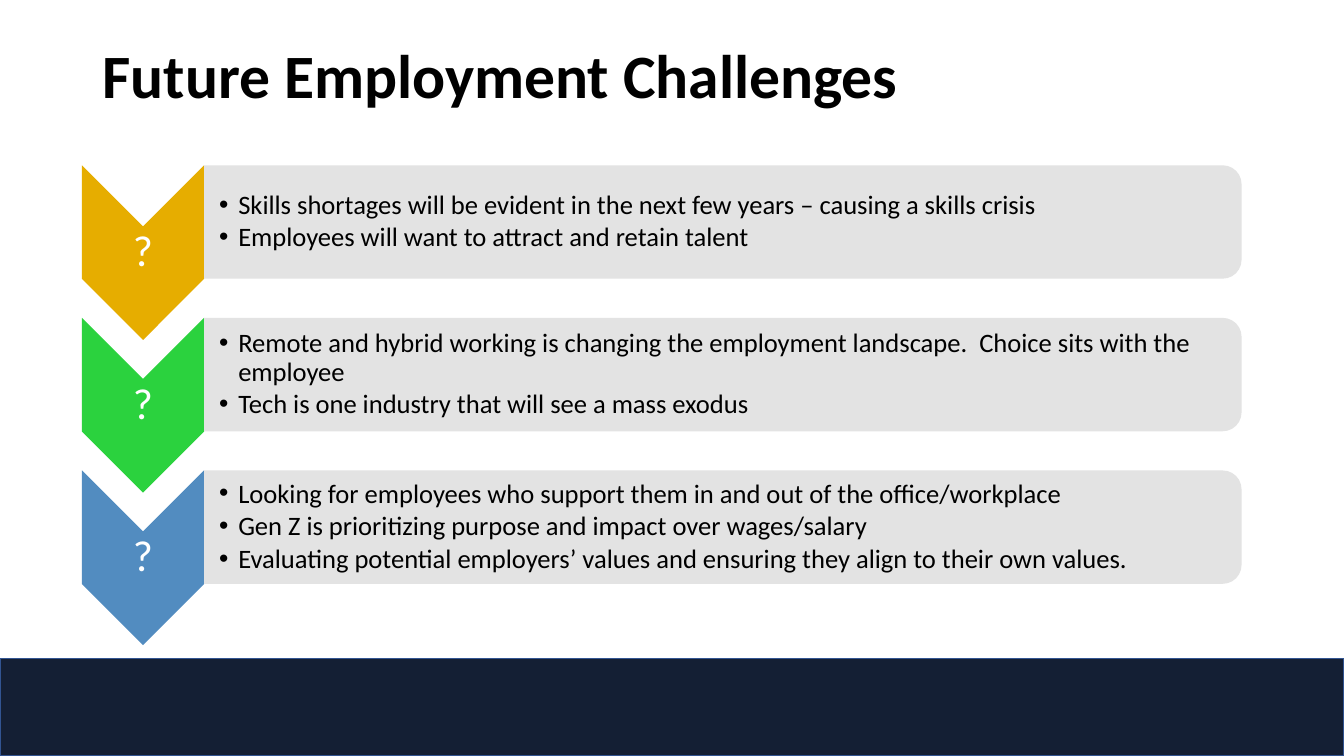
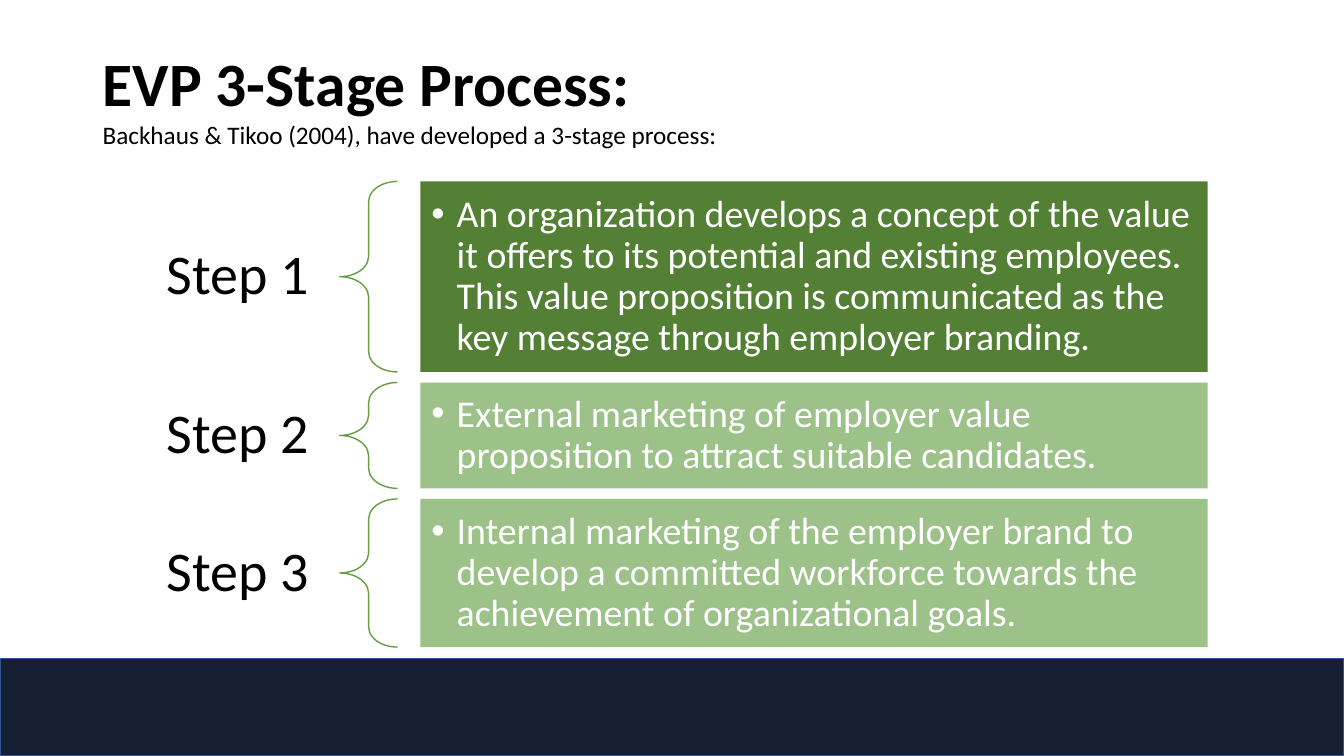
from lxml import etree
from pptx import Presentation, util as u
from pptx.dml.color import RGBColor
from pptx.enum import shapes, text
from pptx.oxml import ns

# Shared look
HUES = {
    "ink": "000000", "paper": "FFFFFF", "band": "141F34", "edge": "325491",
    "panel": "E3E3E3", "gold": "E6AD00", "lime": "2BD23E", "blue": "528CC0",
    "brace": "669D40", "dark": "538035", "light": "9CC189",
}
FONT = "Calibri"
WIDE, HIGH = u.Inches(13.333), u.Inches(7.5)
KIND = shapes.MSO_SHAPE
ALIGN = text.PP_ALIGN
MID, TOP = text.MSO_ANCHOR.MIDDLE, text.MSO_ANCHOR.TOP

# Content
TRENDS = [
    ("gold", ["Skills shortages will be evident in the next few years – causing a skills crisis",
              "Employees will want to attract and retain talent"]),
    ("lime", ["Remote and hybrid working is changing the employment landscape.  "
              "Choice sits with the employee",
              "Tech is one industry that will see a mass exodus"]),
    ("blue", ["Looking for employees who support them in and out of the office/workplace",
              "Gen Z is prioritizing purpose and impact over wages/salary",
              "Evaluating potential employers’ values and ensuring they align to their own values."]),
]
# Name, row height, fill, wording
STEPS = [
    ("Step 1", 25.2, "dark",
     "An organization develops a concept of the value it offers to its potential and "
     "existing employees. This value proposition is communicated as the key message "
     "through employer branding."),
    ("Step 2", 14, "light",
     "External marketing of employer value proposition to attract suitable candidates."),
    ("Step 3", 19.6, "light",
     "Internal marketing of the employer brand to develop a committed workforce towards "
     "the achievement of organizational goals."),
]


def hue(name):
    return RGBColor.from_string(HUES[name])


def place(x, y, w, h):
    """Turn percent shares of the slide into lengths."""
    return [int(n * side / 100) for n, side in zip((x, y, w, h), (WIDE, HIGH) * 2)]


def shape(slide, kind, box, fill=None, line=None, turn=False):
    """Draw a preset shape; a turned one still covers the given box."""
    x, y, w, h = place(*box)
    if turn:
        x, y, w, h = x + (w - h) // 2, y + (h - w) // 2, h, w
    item = slide.shapes.add_shape(kind, x, y, w, h)
    item.shadow.inherit = False
    if turn:
        item.rotation = 90
    if fill:
        item.fill.solid()
        item.fill.fore_color.rgb = hue(fill)
    else:
        item.fill.background()
    if line:
        item.line.color.rgb = hue(line)
        item.line.width = u.Pt(1)
    else:
        item.line.fill.background()
    return item


def bullet(para, indent):
    props = para._p.get_or_add_pPr()
    props.set("marL", str(u.Inches(indent)))
    props.set("indent", str(-u.Inches(indent)))
    etree.SubElement(props, ns.qn("a:buFont")).set("typeface", "Arial")
    etree.SubElement(props, ns.qn("a:buChar")).set("char", "•")


def write(item, lines, size, color="ink", align=ALIGN.LEFT, anchor=MID,
          pads=(0.1, 0.05, 0.1, 0.05), indent=0, space=0.9, after=0):
    """Fill a shape or text box with paragraphs of one style."""
    frame = item.text_frame
    frame.word_wrap = True
    frame.vertical_anchor = anchor
    (frame.margin_left, frame.margin_top,
     frame.margin_right, frame.margin_bottom) = map(u.Inches, pads)
    for i, line in enumerate(lines):
        para = frame.add_paragraph() if i else frame.paragraphs[0]
        para.text = line
        if indent:
            bullet(para, indent)
        para.alignment = align
        para.line_spacing = space
        para.space_after = u.Pt(after)
        font = para.font
        font.name, font.size = FONT, u.Pt(size)
        font.color.rgb = hue(color)
    return frame.paragraphs


def label(slide, box, lines, size, **style):
    item = slide.shapes.add_textbox(*place(*box))
    return write(item, lines, size, **style)


def page(deck, lines, space):
    """Add a slide with the bottom band and a title."""
    slide = deck.slides.add_slide(deck.slide_layouts[6])
    shape(slide, KIND.RECTANGLE, (0, 87.07, 100, 12.93), "band", "edge")
    paras = label(slide, (6.9, 5.33, 86.2, 19.33), lines, 44, anchor=TOP, space=space)
    paras[0].font.bold = True
    for para in paras[1:]:
        para.font.size = u.Pt(18)
    return slide


def trend(slide, top, fill, lines):
    """Draw a down chevron and its bulleted panel."""
    left, wide = 6.1, 9.08
    panel = (left + wide, top, 77.2, 15)
    shape(slide, KIND.CHEVRON, (left, top, wide, 23.1), fill, turn=True)
    label(slide, (left, top + 8.1, wide, 6.9), ["?"], 31, color="paper",
          align=ALIGN.CENTER, pads=(0.02,) * 4)
    shape(slide, KIND.ROUND_2_SAME_RECTANGLE, panel, "panel", turn=True)
    label(slide, panel, lines, 19, pads=(0.15, 0.01, 0.07, 0.01),
          indent=0.19, after=2.85)


def step(slide, top, high, name, fill, line):
    """Draw a step name, its brace and its box."""
    label(slide, (3.75, top, 21.53, high), [name], 40, align=ALIGN.RIGHT,
          pads=(0.31, 0.11, 0.31, 0.11))
    brace = shape(slide, KIND.LEFT_BRACE, (25.28, top, 4.3, high), line="brace")
    brace.adjustments[0] = 0.35
    box = shape(slide, KIND.RECTANGLE, (31.28, top, 58.58, high), fill)
    write(box, [line], 27, color="paper", pads=(0.11,) * 4, indent=0.25)


def main():
    deck = Presentation()
    deck.slide_width, deck.slide_height = WIDE, HIGH

    # Challenges
    slide = page(deck, ["Future Employment Challenges"], 0.9)
    for i, (fill, lines) in enumerate(TRENDS):
        trend(slide, 21.87 + 20.18 * i, fill, lines)

    # Three stages
    slide = page(deck, ["EVP 3-Stage Process:",
                        "Backhaus & Tikoo (2004), have developed a 3-stage process:"], 1.0)
    top, gap = 24, 1.4
    for name, high, fill, line in STEPS:
        step(slide, top, high, name, fill, line)
        top += high + gap

    deck.save("out.pptx")


if __name__ == "__main__":
    main()
